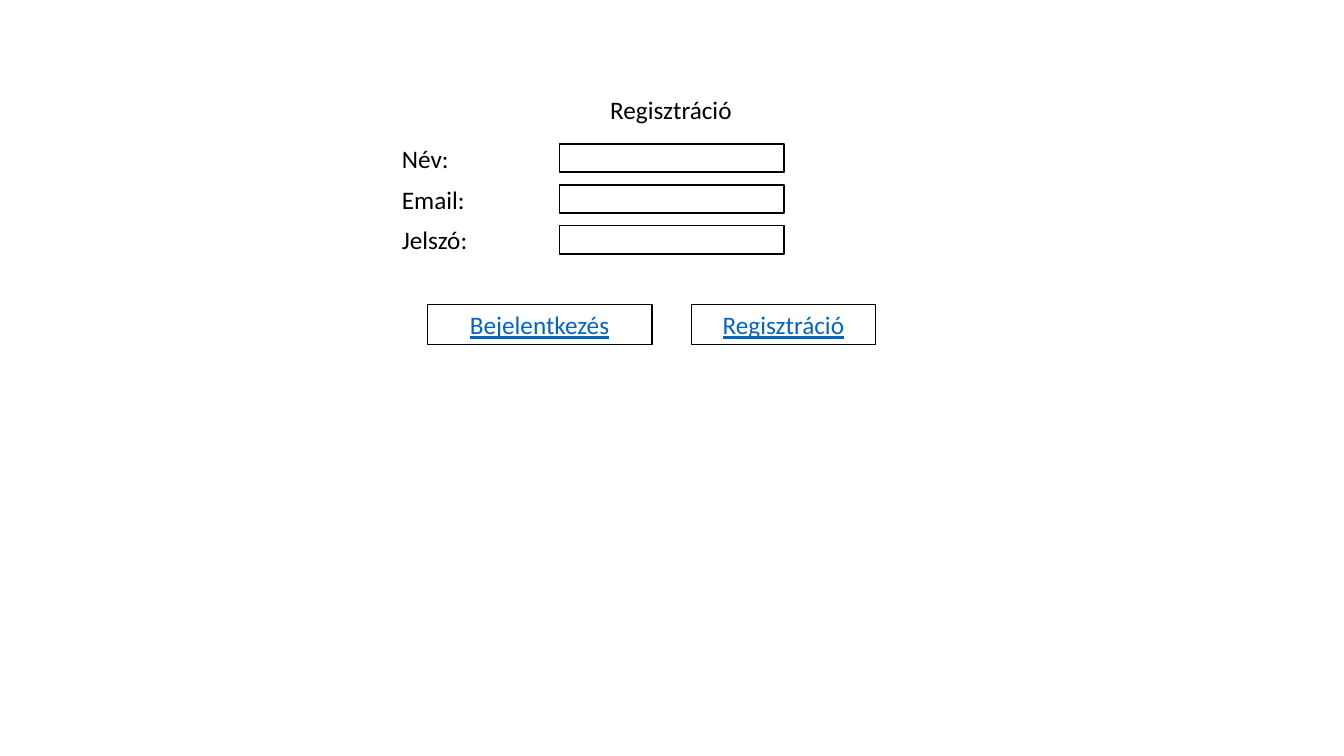
import pptx
import pptx.util
import pptx.dml.color
import pptx.enum.shapes
import pptx.enum.text
from pptx.util import Cm

BLACK, WHITE, LINK_BLUE = "000000", "FFFFFF", "0563C1"
FONT_FORMAT = {"name": "Calibri", "size": pptx.util.Pt(18)}
CENTER = pptx.enum.text.PP_ALIGN.CENTER
LEFT = pptx.enum.text.PP_ALIGN.LEFT

ROW_PITCH = 1.03
LABEL_TOP, FIELD_TOP = 3.48, 3.63
BUTTON_TOP = 7.67


def color(hex_code):
    return pptx.dml.color.RGBColor.from_string(hex_code)


def write(shape, wording, align, hex_code=BLACK, underline=False):
    paragraph = shape.text_frame.paragraphs[0]
    paragraph.alignment = align
    run = paragraph.add_run()
    run.text = wording
    for attribute, value in {**FONT_FORMAT, "underline": underline}.items():
        setattr(run.font, attribute, value)
    run.font.color.rgb = color(hex_code)


def add_label(slide, wording, left, top, width, align=LEFT, wrap=False):
    label = slide.shapes.add_textbox(Cm(left), Cm(top), Cm(width), Cm(1.02))
    label.text_frame.word_wrap = wrap
    write(label, wording, align)


def add_box(slide, left, top, width, height, fill=WHITE, line_width=1):
    """Add an outlined rectangle; a fill of None leaves it see-through."""
    box = slide.shapes.add_shape(
        pptx.enum.shapes.MSO_SHAPE.RECTANGLE, Cm(left), Cm(top), Cm(width), Cm(height))
    box.shadow.inherit = False
    if fill:
        box.fill.solid()
        box.fill.fore_color.rgb = color(fill)
    else:
        box.fill.background()
    box.line.color.rgb = color(BLACK)
    box.line.width = pptx.util.Pt(line_width)
    return box


def add_button(slide, wording, left, width, **box_format):
    button = add_box(slide, left, BUTTON_TOP, width, 1.02, **box_format)
    button.text_frame.word_wrap = True
    button.text_frame.vertical_anchor = pptx.enum.text.MSO_ANCHOR.MIDDLE
    write(button, wording, CENTER, LINK_BLUE, underline=True)


def main():
    presentation = pptx.Presentation()
    presentation.slide_width = Cm(33.87)
    presentation.slide_height = Cm(19.05)
    slide = presentation.slides.add_slide(presentation.slide_layouts[6])

    add_label(slide, "Regisztráció", 9.47, 2.26, 14.88, CENTER, wrap=True)
    for row, (wording, width) in enumerate([("Név:", 1.7), ("Email:", 2.11), ("Jelszó:", 2.18)]):
        add_label(slide, wording, 9.88, LABEL_TOP + row * ROW_PITCH, width)
        add_box(slide, 14.1, FIELD_TOP + row * ROW_PITCH, 5.66, 0.71)
    add_button(slide, "Bejelentkezés", 10.77, 5.66)
    add_button(slide, "Regisztráció", 17.42, 4.65, fill=None, line_width=0.75)

    presentation.save("out.pptx")


if __name__ == "__main__":
    main()
